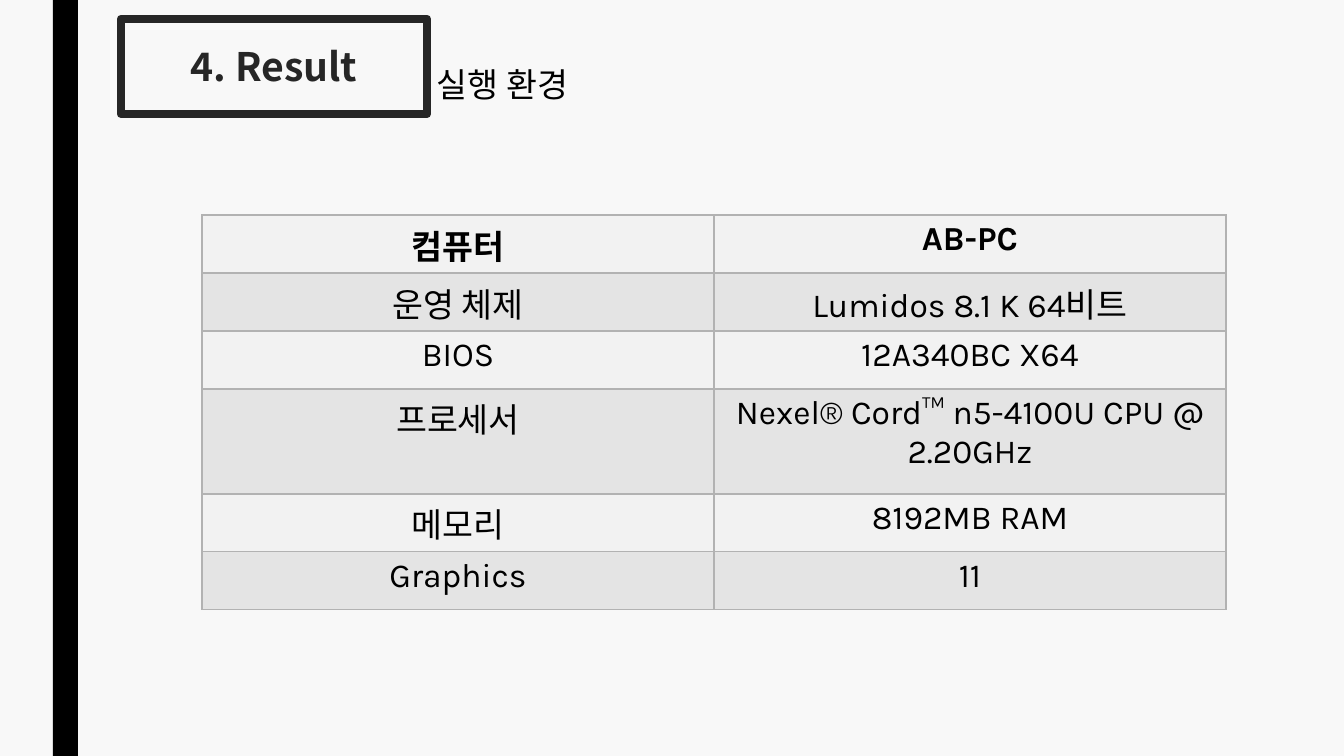
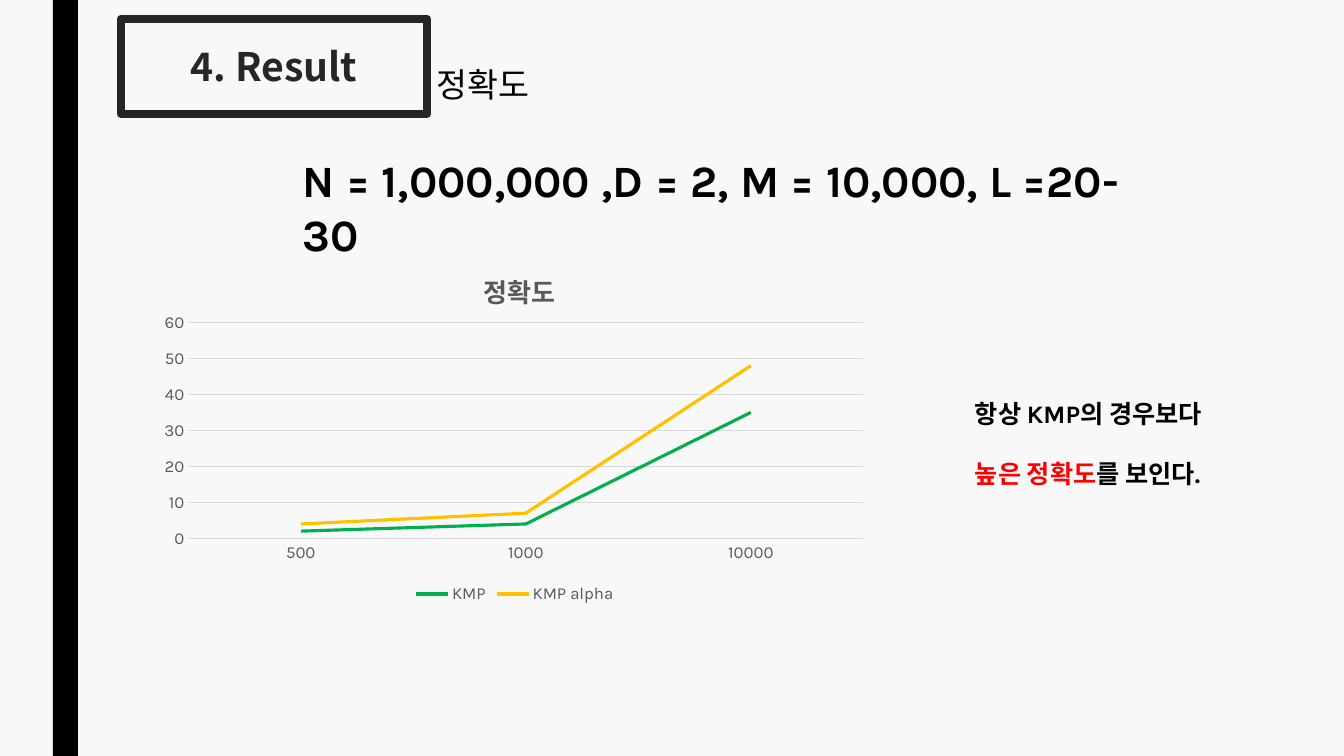
from lxml import etree
from pptx import Presentation
from pptx.chart.data import CategoryChartData
from pptx.dml.color import RGBColor
from pptx.enum.chart import XL_CHART_TYPE, XL_LEGEND_POSITION, XL_TICK_MARK
from pptx.enum.shapes import MSO_SHAPE
from pptx.enum.text import PP_ALIGN
from pptx.oxml import parse_xml
from pptx.oxml.ns import nsdecls, qn
from pptx.util import Pt

LINE = XL_CHART_TYPE.LINE
BOTTOM = XL_LEGEND_POSITION.BOTTOM
NO_TICK = XL_TICK_MARK.NONE
RECT = MSO_SHAPE.RECTANGLE
LEFT, CENTER = PP_ALIGN.LEFT, PP_ALIGN.CENTER

SCALE = 12192000 / 1344
BLACK, DARK, GREY, RED = "000000", "262626", "595959", "FF0000"
BACK, GRID, BORDER = "F8F8F8", "D9D9D9", "B2B2B2"
BANDS = ["F2F2F2", "E4E4E4"]
rgb = RGBColor.from_string


def px(*values):
    return [round(v * SCALE) for v in values]


def write(p, runs, size, align=LEFT, spacing=None, bold=False, face="Karla"):
    p.alignment = align
    p.line_spacing = spacing
    for text, color in runs:
        r = p.add_run()
        r.text = text
        for name, value in {"size": Pt(size), "bold": bold, "name": face}.items():
            setattr(r.font, name, value)
        r.font.color.rgb = rgb(color)


prs = Presentation()
prs.slide_width, prs.slide_height = px(1344, 756)

# Shared frame: background, side band, title box and heading
slides = []
for heading, width in [("실행 환경", 164), ("정확도", 122)]:
    s = prs.slides.add_slide(prs.slide_layouts[6])
    slides.append(s)
    s.background.fill.solid()
    s.background.fill.fore_color.rgb = rgb(BACK)

    band = s.shapes.add_shape(RECT, *px(53, 0, 25, 756))
    band.shadow.inherit = False
    band.fill.solid()
    band.fill.fore_color.rgb = rgb(BLACK)
    band.line.fill.background()

    frame = s.shapes.add_shape(RECT, *px(121, 19, 306, 95))
    frame.shadow.inherit = False
    frame.fill.background()
    frame.line.color.rgb = rgb(DARK)
    frame.line.width = Pt(6)

    tf = s.shapes.add_textbox(*px(121, 37, 306, 58)).text_frame
    tf.word_wrap = True
    write(tf.paragraphs[0], [("4. Result", DARK)], 28, CENTER, bold=True,
          face="Noto Sans CJK KR")

    tf = s.shapes.add_textbox(*px(427, 19, width, 79)).text_frame
    tf.word_wrap = False
    write(tf.paragraphs[0], [(heading, BLACK)], 24, spacing=2.0)

environment, accuracy = slides

# Environment table
rows = [
    ("컴퓨터", "AB-PC", 58),
    ("운영 체제", "Lumidos 8.1 K 64비트", 58),
    ("BIOS", "12A340BC X64", 58),
    ("프로세서", "Nexel® Cord™ n5-4100U CPU @ 2.20GHz", 105),
    ("메모리", "8192MB RAM", 58),
    ("Graphics", "11", 58),
]
heights = [row[2] for row in rows]
table = environment.shapes.add_table(
    len(rows), 2, *px(202, 215, 1024, sum(heights))).table
table.horz_banding = False
for col in table.columns:
    col.width = px(512)[0]
for i, (label, value, height) in enumerate(rows):
    table.rows[i].height = px(height)[0]
    for j, text in enumerate((label, value)):
        cell = table.cell(i, j)
        write(cell.text_frame.paragraphs[0], [(text, BLACK)], 24, CENTER,
              bold=i == 0)
        tcPr = cell._tc.get_or_add_tcPr()
        for side in ("lnL", "lnR", "lnT", "lnB"):
            ln = etree.SubElement(tcPr, qn(f"a:{side}"), w="12700")
            fill = etree.SubElement(ln, qn("a:solidFill"))
            etree.SubElement(fill, qn("a:srgbClr"), val=BORDER)
        cell.fill.solid()
        cell.fill.fore_color.rgb = rgb(BANDS[i % 2])

# Accuracy chart
data = CategoryChartData()
data.categories = ["500", "1000", "10000"]
data.add_series("KMP", (2, 4, 35))
data.add_series("KMP alpha", (4, 7, 48))
chart = accuracy.shapes.add_chart(LINE, *px(152, 242, 726, 366), data).chart
chart.font.size, chart.font.name = Pt(10), "Karla"
chart.has_title = True
write(chart.chart_title.text_frame.paragraphs[0], [("정확도", GREY)], 18.6,
      bold=True)
chart.has_legend = True
chart.legend.position = BOTTOM
chart.legend.include_in_layout = False
chart.plots[0].vary_by_categories = False
for series, color in zip(chart.plots[0].series, ("00B050", "FFC000")):
    series.smooth = False
    series.format.line.color.rgb = rgb(color)
    series.format.line.width = Pt(2.25)

cat, val = chart.category_axis, chart.value_axis
val.minimum_scale, val.maximum_scale, val.major_unit = 0, 60, 10
val.has_major_gridlines = True
for axis in (cat, val):
    axis.major_tick_mark = axis.minor_tick_mark = NO_TICK
for line in (cat.format.line, val.major_gridlines.format.line):
    line.color.rgb = rgb(GRID)
    line.width = Pt(0.75)
val.format.line.fill.background()
for font in (cat.tick_labels.font, val.tick_labels.font, chart.legend.font):
    font.size, font.name = Pt(12), "Karla"
    font.color.rgb = rgb(GREY)

# Fixed places for the chart title and the plot area
places = [
    ("c:title", 1, {"x": 0.45, "y": 0.06}),
    ("c:plotArea", 0, {"x": 0.05, "y": 0.22, "w": 0.93, "h": 0.59}),
]
for tag, index, place in places:
    part = chart._chartSpace.chart.find(qn(tag))
    for old in part.findall(qn("c:layout")):
        part.remove(old)
    layout = parse_xml(f"<c:layout {nsdecls('c')}><c:manualLayout/></c:layout>")
    if "w" in place:
        etree.SubElement(layout[0], qn("c:layoutTarget"), val="inner")
    for key in ("x", "y"):
        etree.SubElement(layout[0], qn(f"c:{key}Mode"), val="edge")
    for key, value in place.items():
        etree.SubElement(layout[0], qn(f"c:{key}"), val=str(value))
    part.insert(index, layout)

# Conclusion beside the chart
tf = accuracy.shapes.add_textbox(*px(965, 363, 335, 123)).text_frame
tf.word_wrap = True
write(tf.paragraphs[0], [("항상 KMP의 경우보다", BLACK)], 18, spacing=2.0, bold=True)
write(tf.add_paragraph(), [("높은 정확도", RED), ("를 보인다.", BLACK)], 18,
      spacing=2.0, bold=True)

# Parameters above the chart
tf = accuracy.shapes.add_textbox(*px(293, 148, 885, 119)).text_frame
tf.word_wrap = True
write(tf.paragraphs[0], [("N = 1,000,000 ,D = 2, M = 10,000, L =20-30", BLACK)],
      32, bold=True)

prs.save("out.pptx")
